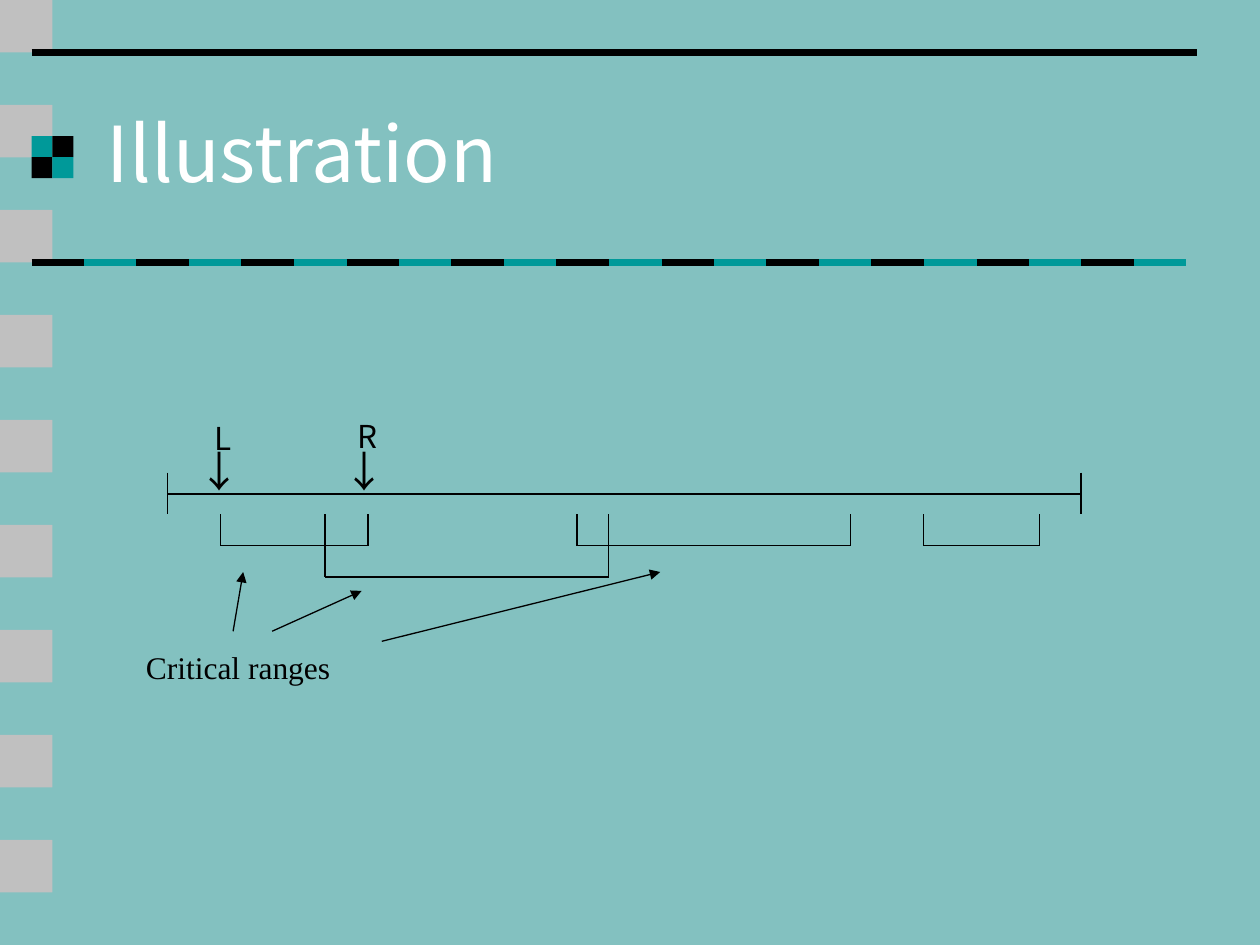
from pptx import Presentation
from pptx.dml.color import RGBColor
from pptx.enum import shapes, text
from pptx.oxml.ns import qn
from pptx.util import Inches, Pt
from lxml import etree

COLORS = {"background": "83C1C0", "square": "C0C0C0", "teal": "009999",
          "black": "000000", "white": "FFFFFF"}
TITLE_FONT, MARK_FONT, LABEL_FONT = "Noto Sans CJK KR", "Noto Sans CJK TC", "Times New Roman"

# Content: (left, top, width, height, runs of (words, size), font, colour, anchor)
TOP, MIDDLE = text.MSO_ANCHOR.TOP, text.MSO_ANCHOR.MIDDLE
LABELS = [
    (0.75, 0.58, 8.5, 1.25, [("Illustration", 44)], TITLE_FONT, "white", MIDDLE),
    (1.06, 5.09, 2.13, 0.4, [("Critical ranges", 18)], LABEL_FONT, "black", TOP),
    (1.6, 3.19, 0.38, 0.5, [("L", 18), (" ", 24)], MARK_FONT, "black", TOP),
    (2.74, 3.18, 0.37, 0.5, [("R", 18), (" ", 24)], MARK_FONT, "black", TOP),
    (2.63, 3.49, 0.4, 0.5, [("↓", 24)], MARK_FONT, "black", TOP),
    (1.48, 3.49, 0.4, 0.5, [("↓", 24)], MARK_FONT, "black", TOP),
]
AXIS_START, AXIS_END, AXIS_Y, TICK_TOP, RANGE_TOP = 1.33, 8.58, 3.92, 3.75, 4.08
# (left, right, bottom) of each critical range
RANGES = [(1.75, 2.92, 4.33), (2.58, 4.83, 4.58), (4.58, 6.75, 4.33), (7.33, 8.25, 4.33)]
POINTERS = [(1.85, 5.01, 1.93, 4.54), (2.16, 5.01, 2.87, 4.69), (3.03, 5.09, 5.24, 4.54)]
UNIT = 5 / 12  # side of a margin square and length of a dash

prs = Presentation()
prs.slide_width, prs.slide_height = Inches(10), Inches(7.5)
slide = prs.slides.add_slide(prs.slide_layouts[6])


def rgb(name):
    return RGBColor.from_string(COLORS[name])


def add_square(left, top, side, color):
    square = slide.shapes.add_shape(shapes.MSO_SHAPE.RECTANGLE, Inches(left), Inches(top),
                                    Inches(side), Inches(side))
    square.shadow.inherit = False
    square.fill.solid()
    square.fill.fore_color.rgb = rgb(color)
    square.line.fill.background()


def add_line(x1, y1, x2, y2, color="black", width=0.75, arrow=False):
    line = slide.shapes.add_connector(shapes.MSO_CONNECTOR.STRAIGHT, Inches(x1), Inches(y1),
                                      Inches(x2), Inches(y2))
    line.line.color.rgb = rgb(color)
    line.line.width = Pt(width)
    if arrow:
        etree.SubElement(line.line._get_or_add_ln(), qn("a:tailEnd"), type="triangle")
    etree.SubElement(line._element.spPr, qn("a:effectLst"))


def add_label(left, top, width, height, runs, font, color, anchor):
    frame = slide.shapes.add_textbox(Inches(left), Inches(top),
                                     Inches(width), Inches(height)).text_frame
    frame.word_wrap = True
    frame.vertical_anchor = anchor
    for words, size in runs:
        run = frame.paragraphs[0].add_run()
        run.text = words
        run.font.size = Pt(size)
        run.font.color.rgb = rgb(color)
        run.font.name = font
        etree.SubElement(run.font._element, qn("a:ea"), typeface=font)


# Background and margin squares
slide.background.fill.solid()
slide.background.fill.fore_color.rgb = rgb("background")
for i in range(9):
    add_square(0, i * 2 * UNIT, UNIT, "square")

# Rule above the title, checkered bullet, dashed rule below
add_line(0.25, UNIT, 9.5, UNIT, width=4.5)
for row in range(2):
    for column in range(2):
        add_square(0.25 + column / 6, 1.08 + row / 6, 1 / 6,
                   "teal" if row == column else "black")
for i in range(22):
    start = 0.25 + i * UNIT
    add_line(start, 5 * UNIT, start + UNIT, 5 * UNIT, "teal" if i % 2 else "black", 4.5)

# Axis with end ticks
add_line(AXIS_START, AXIS_Y, AXIS_END, AXIS_Y)
for x in (AXIS_START, AXIS_END):
    add_line(x, TICK_TOP, x, RANGE_TOP)

# Critical ranges and the arrows pointing at them
for left, right, bottom in RANGES:
    add_line(left, RANGE_TOP, left, bottom)
    add_line(left, bottom, right, bottom)
    add_line(right, bottom, right, RANGE_TOP)
for pointer in POINTERS:
    add_line(*pointer, arrow=True)

# Title and labels
for label in LABELS:
    add_label(*label)

prs.save("out.pptx")
